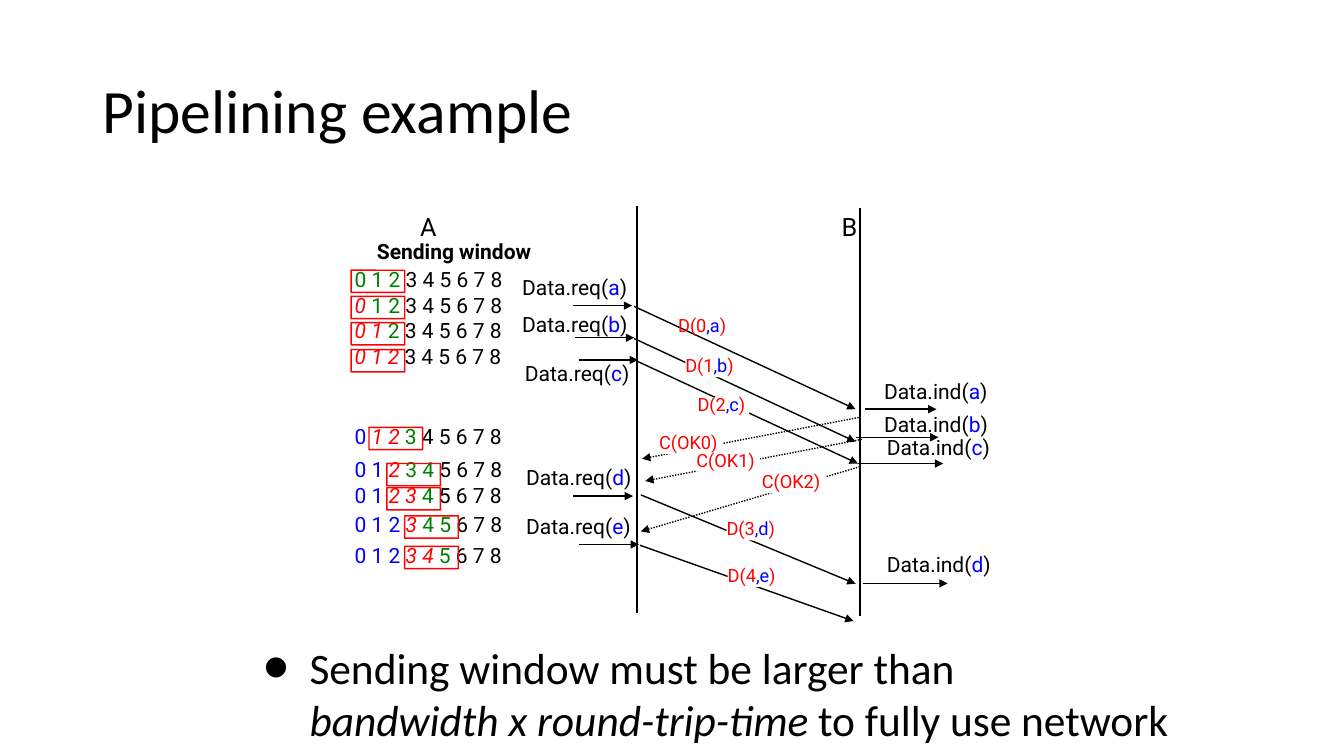
from dataclasses import dataclass
from typing import NamedTuple

from lxml.etree import SubElement
from pptx import Presentation
from pptx.dml.color import RGBColor
from pptx.enum.dml import MSO_LINE
from pptx.enum.shapes import MSO_CONNECTOR, MSO_SHAPE
from pptx.enum.text import MSO_ANCHOR, MSO_AUTO_SIZE, PP_ALIGN
from pptx.oxml.ns import qn
from pptx.slide import Slide
from pptx.util import Cm, Pt

BLACK, WHITE, RED, GREEN, BLUE = "000000", "FFFFFF", "FF0000", "008000", "0000FF"
LAST_NUMBER = 8
WINDOW_SIZE = 3
NUMBERS_LEFT = 8.94
FRAME_LEFT = 8.85
NUMBER_STEP = 0.45
REQUEST_LENGTH = 1.5


class Point(NamedTuple):
    x: float
    y: float


class Part(NamedTuple):
    text: str
    colour: str = BLACK
    italic: bool = False


@dataclass
class WindowState:
    first: int
    sent: int
    numbers_top: float
    frame_top: float


@dataclass
class Delivery:
    label: Point
    arrow_start: Point
    arrow_end: float


@dataclass
class Transfer:
    payload: str
    request: Point
    request_arrow: Point
    sent: Point
    received: Point
    label: Point
    delivery: Delivery | None


@dataclass
class Acknowledgement:
    sent: Point
    received: Point
    label: Point


WINDOW_STATES = [
    WindowState(0, 0, 6.83, 6.81),
    WindowState(0, 1, 7.47, 7.47),
    WindowState(0, 2, 8.1, 8.13),
    WindowState(0, 3, 8.76, 8.81),
    WindowState(1, 2, 10.77, 10.77),
    WindowState(2, 1, 11.61, 11.68),
    WindowState(2, 2, 12.27, 12.29),
    WindowState(3, 1, 13, 13),
    WindowState(3, 2, 13.77, 13.77),
]
TRANSFERS = [
    Transfer("a", Point(13.16, 7.01), Point(14.43, 7.7), Point(15.98, 7.72),
             Point(21.56, 10.31), Point(17.09, 8),
             Delivery(Point(22.28, 9.65), Point(21.79, 10.31), 23.6)),
    Transfer("b", Point(13.16, 7.95), Point(14.48, 8.51), Point(15.98, 8.53),
             Point(21.56, 11.13), Point(17.27, 9.02),
             Delivery(Point(22.28, 10.46), Point(21.56, 11.02), 23.65)),
    Transfer("c", Point(13.23, 9.19), Point(14.58, 9.07), Point(16.03, 9.09),
             Point(21.62, 11.68), Point(17.58, 10.01),
             Delivery(Point(22.35, 11.05), Point(21.62, 11.68), 23.77)),
    Transfer("d", Point(13.26, 11.81), Point(14.45, 12.5), Point(16.15, 12.47),
             Point(21.56, 14.71), Point(18.31, 13.13),
             Delivery(Point(22.35, 14), Point(21.74, 14.7), 23.88)),
    Transfer("e", Point(13.26, 13.03), Point(14.6, 13.72), Point(16.13, 13.74),
             Point(21.51, 15.65), Point(18.34, 14.3), None),
]
ACKNOWLEDGEMENTS = [
    Acknowledgement(Point(21.64, 10.52), Point(16.18, 11.56), Point(16.61, 10.95)),
    Acknowledgement(Point(21.72, 11.07), Point(16.26, 12.12), Point(17.55, 11.4)),
    Acknowledgement(Point(21.67, 11.76), Point(16.15, 13.39), Point(19.2, 11.94)),
]


def colour(value: str) -> RGBColor:
    return RGBColor.from_string(value)


def add_label(slide: Slide, at: Point, width: float, parts: list[Part],
              size: float = 15, bold: bool = False, covers: bool = False) -> None:
    label = slide.shapes.add_textbox(Cm(at.x), Cm(at.y), Cm(width), Cm(size * 0.0375))
    if covers:
        label.fill.solid()
        label.fill.fore_color.rgb = colour(WHITE)
    frame = label.text_frame
    frame.margin_left = frame.margin_right = frame.margin_top = frame.margin_bottom = 0
    frame.word_wrap = False
    frame.auto_size = MSO_AUTO_SIZE.SHAPE_TO_FIT_TEXT
    paragraph = frame.paragraphs[0]
    paragraph.line_spacing = 0.84
    paragraph.font.name = "Roboto"
    paragraph.font.size = Pt(size)
    paragraph.font.bold = bold
    for part in parts:
        run = paragraph.add_run()
        run.text = part.text
        run.font.italic = part.italic
        run.font.color.rgb = colour(part.colour)


def add_line(slide: Slide, start: Point, end: Point,
             arrow: bool = True, dotted: bool = False) -> None:
    line = slide.shapes.add_connector(
        MSO_CONNECTOR.STRAIGHT, Cm(start.x), Cm(start.y), Cm(end.x), Cm(end.y))
    line.line.color.rgb = colour(BLACK)
    line.line.width = Pt(1)
    if dotted:
        line.line.dash_style = MSO_LINE.ROUND_DOT
    properties = line._element.spPr
    if arrow:
        SubElement(properties.find(qn("a:ln")), qn("a:tailEnd"), type="triangle")
    SubElement(properties, qn("a:effectLst"))


def add_window(slide: Slide, state: WindowState) -> None:
    next_number = state.first + state.sent
    window_end = state.first + WINDOW_SIZE
    sections = [
        (0, state.first, BLUE, False),
        (state.first, next_number, RED, True),
        (next_number, window_end, GREEN, False),
        (window_end, LAST_NUMBER + 1, BLACK, False),
    ]
    parts = [
        Part("".join(f"{n} " if n < LAST_NUMBER else f"{n}" for n in range(start, end)),
             section_colour, italic)
        for start, end, section_colour, italic in sections if start < end
    ]
    add_label(slide, Point(NUMBERS_LEFT, state.numbers_top), 3.87, parts)
    window = slide.shapes.add_shape(
        MSO_SHAPE.ROUNDED_RECTANGLE, Cm(FRAME_LEFT + NUMBER_STEP * state.first),
        Cm(state.frame_top), Cm(1.35), Cm(0.56))
    window.adjustments[0] = 0.005
    window.shadow.inherit = False
    window.fill.background()
    window.line.color.rgb = colour(RED)
    window.line.width = Pt(1)


def add_transfer(slide: Slide, number: int, transfer: Transfer) -> None:
    payload = Part(transfer.payload, BLUE)
    start = transfer.request_arrow
    add_line(slide, transfer.sent, transfer.received)
    add_line(slide, start, Point(start.x + REQUEST_LENGTH, start.y))
    add_label(slide, transfer.request, 2.69, [Part("Data.req("), payload, Part(")")])
    add_label(slide, transfer.label, 1.3,
              [Part(f"D({number}", RED), Part(f",{transfer.payload}", BLUE), Part(")", RED)],
              size=13, covers=number > 0)
    if transfer.delivery:
        delivery = transfer.delivery
        add_line(slide, delivery.arrow_start,
                 Point(delivery.arrow_end, delivery.arrow_start.y))
        add_label(slide, delivery.label, 2.64, [Part("Data.ind("), payload, Part(")")])


def add_title(slide: Slide) -> None:
    title = slide.shapes.title
    title.left, title.top, title.width, title.height = Cm(2.33), Cm(1.01), Cm(29.21), Cm(3.68)
    title.text_frame.text = "Pipelining example"
    title.text_frame.vertical_anchor = MSO_ANCHOR.MIDDLE
    heading = title.text_frame.paragraphs[0]
    heading.alignment = PP_ALIGN.LEFT
    heading.line_spacing = 0.9
    heading.font.name = "Calibri"
    heading.font.size = Pt(44)
    heading.font.color.rgb = colour(BLACK)


def add_conclusion(slide: Slide) -> None:
    body = slide.placeholders[1]
    body.left, body.top, body.width, body.height = Cm(5.87), Cm(16.23), Cm(24.59), Cm(2.46)
    frame = body.text_frame
    frame.margin_left = frame.margin_right = frame.margin_top = frame.margin_bottom = Cm(0.1)
    frame.vertical_anchor = MSO_ANCHOR.MIDDLE
    frame.auto_size = MSO_AUTO_SIZE.NONE
    conclusion = frame.paragraphs[0]
    conclusion.space_before = Pt(17.6)
    conclusion.font.name = "Calibri"
    conclusion.font.size = Pt(31)
    conclusion.font.color.rgb = colour(BLACK)
    conclusion.add_run().text = "Sending window must be larger than "
    conclusion.add_line_break()
    product = conclusion.add_run()
    product.text = "bandwidth x round-trip-time "
    product.font.italic = True
    conclusion.add_run().text = "to fully use network"
    properties = conclusion._p.get_or_add_pPr()
    properties.set("marL", str(Cm(1.83)))
    properties.set("indent", str(Cm(-1.17)))
    default_font = properties.find(qn("a:defRPr"))
    SubElement(properties, qn("a:buSzPct"), val="171000")
    SubElement(properties, qn("a:buChar"), char="•")
    properties.append(default_font)


def main() -> None:
    deck = Presentation()
    deck.slide_width, deck.slide_height = Cm(33.87), Cm(19.05)
    slide = deck.slides.add_slide(deck.slide_layouts[1])
    add_title(slide)
    add_line(slide, Point(16.05, 5.18), Point(16.05, 15.44), arrow=False)
    add_line(slide, Point(21.67, 5.23), Point(21.67, 15.52), arrow=False)
    add_label(slide, Point(10.59, 5.46), 0.41, [Part("A")], size=18)
    add_label(slide, Point(21.21, 5.46), 0.4, [Part("B")], size=18)
    add_label(slide, Point(9.5, 6.12), 4.19, [Part("Sending window")], bold=True)
    for state in WINDOW_STATES:
        add_window(slide, state)
    for number, transfer in enumerate(TRANSFERS):
        add_transfer(slide, number, transfer)
    for number, reply in enumerate(ACKNOWLEDGEMENTS):
        add_line(slide, reply.sent, reply.received, dotted=True)
        add_label(slide, reply.label, 1.6, [Part(f"C(OK{number})", RED)], size=13, covers=True)
    add_conclusion(slide)
    deck.save("out.pptx")


if __name__ == "__main__":
    main()
